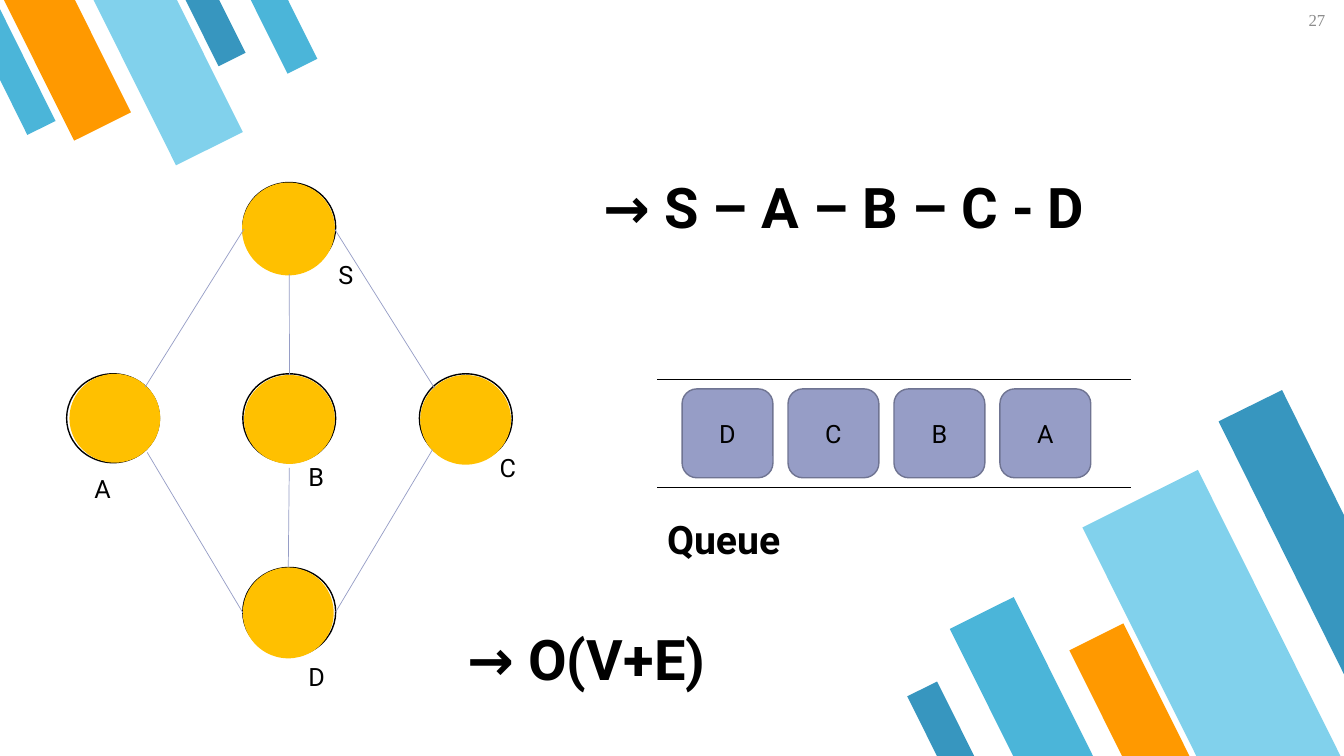
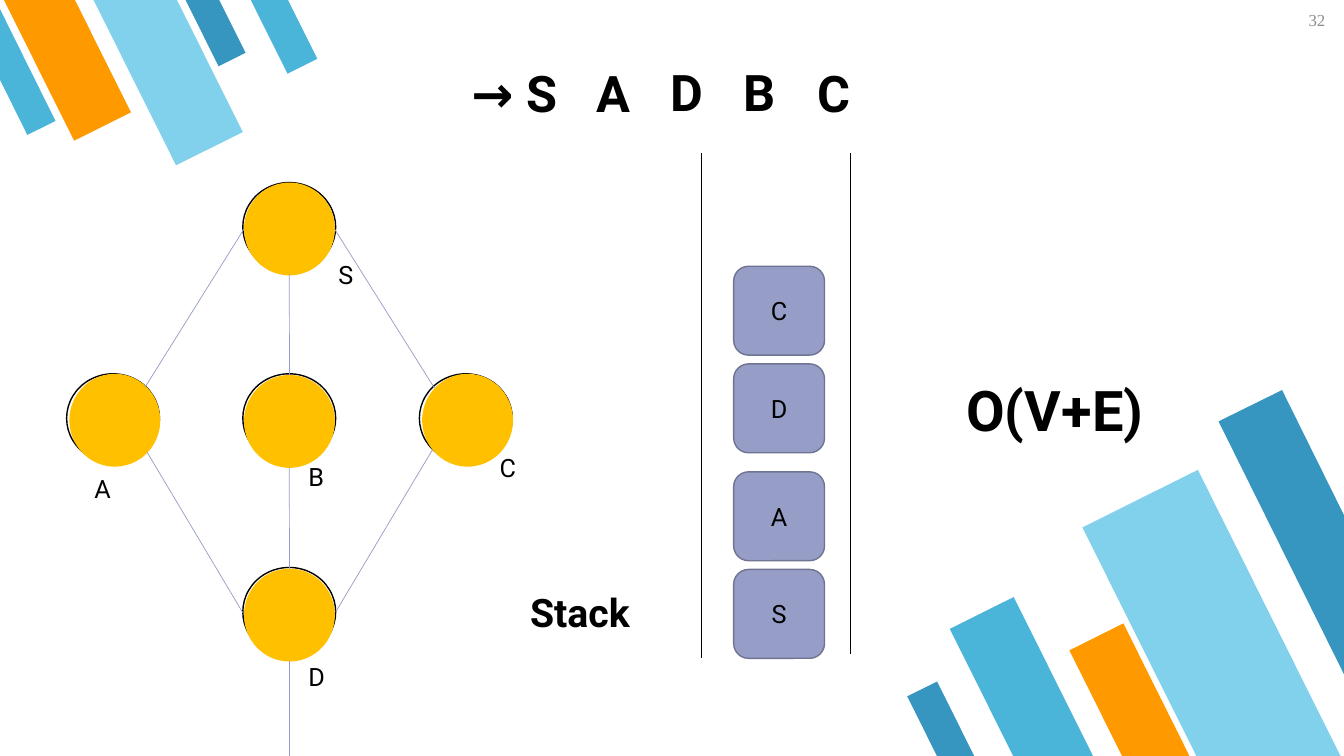
from lxml import etree
from pptx import Presentation
from pptx.dml.color import RGBColor
from pptx.enum.shapes import MSO_CONNECTOR, MSO_SHAPE
from pptx.enum.text import MSO_ANCHOR, MSO_AUTO_SIZE, PP_ALIGN
from pptx.oxml.ns import qn
from pptx.util import Cm, Pt

BAR = MSO_SHAPE.FLOWCHART_MANUAL_INPUT
CIRCLE = MSO_SHAPE.FLOWCHART_CONNECTOR
ROUNDED = MSO_SHAPE.ROUNDED_RECTANGLE
STRAIGHT = MSO_CONNECTOR.STRAIGHT
MIDDLE = MSO_ANCHOR.MIDDLE
GROW = MSO_AUTO_SIZE.SHAPE_TO_FIT_TEXT
LEFT, CENTER, RIGHT = PP_ALIGN.LEFT, PP_ALIGN.CENTER, PP_ALIGN.RIGHT
TOP_SITE = 0

COLORS = {
    "black": "000000",
    "white": "FFFFFF",
    "gray": "8C8C8C",
    "yellow": "FFC000",
    "violet": "969DC6",
    "violet_edge": "6F7492",
    "blue": "4BB5D9",
    "light_blue": "81D1EC",
    "dark_blue": "3796BF",
    "orange": "FF9900",
}

FORMATS = {
    "number": {"name": "Times New Roman", "size": Pt(12)},
    "label": {"name": "Roboto", "size": Pt(18)},
    "caption": {"name": "Roboto", "size": Pt(28), "bold": True},
    "sequence": {"name": "Roboto", "size": Pt(36), "bold": True},
    "headline": {"name": "Roboto", "size": Pt(40), "bold": True},
}

BARS = [
    (24.84, 15.21, 1.8, 4.47, 153.5, "blue"),
    (28.91, 12.14, 3.25, 8.08, 153.5, "light_blue"),
    (27.71, 15.85, 1.52, 3.76, 153.5, "orange"),
    (23.29, 17.25, 0.84, 2.11, 153.5, "dark_blue"),
    (5.05, -0.28, 0.76, 1.88, 333.5, "dark_blue"),
    (0.89, -0.61, 1.6, 4.01, 333.5, "orange"),
    (3.3, -0.66, 1.88, 4.65, 333.5, "light_blue"),
    (6.73, -0.33, 0.84, 2.11, 333.5, "blue"),
]
CUT_BARS = [
    ([(32.31, 9.83), (30.71, 10.62), (33.87, 16.99), (33.87, 12.98)], "dark_blue"),
    ([(0.69, 3.4), (1.4, 3.05), (0, 0.23), (0, 2.01)], "blue"),
]

RINGS = {"S": (6.12, 4.6), "A": (1.68, 9.42), "B": (6.12, 9.42), "C": (10.57, 9.42), "D": (6.12, 14.3)}
LABELS = {"S": (8.28, 6.4), "A": (2.13, 11.79), "B": (7.52, 11.51), "C": (12.34, 11.28), "D": (7.52, 16.54)}
SIDE_EDGES = [
    (8.43, 5.77, 10.95, 9.78),
    (6.15, 5.77, 3.66, 9.75),
    (3.71, 11.4, 6.12, 15.44),
    (10.9, 11.33, 8.46, 15.42),
]
MIDDLE_EDGES = [("B", 6.91, 9.45), ("D", 11.79, 14.3)]
AXIS = 7.29

QUEUE_DISCS = {
    "S": (6.1, 4.6, 2.34, 2.34),
    "A": (1.75, 9.42, 2.29, 2.24),
    "B": (6.15, 9.45, 2.29, 2.24),
    "C": (10.59, 9.45, 2.29, 2.26),
    "D": (6.12, 14.3, 2.29, 2.29),
}
STACK_DISCS = {
    "S": (6.15, 4.6, 2.29, 2.34),
    "A": (1.75, 9.42, 2.29, 2.34),
    "B": (6.15, 9.45, 2.29, 2.34),
    "C": (10.64, 9.42, 2.29, 2.34),
    "D": (6.15, 14.33, 2.29, 2.34),
}


class Deck:
    def __init__(self):
        self.presentation = Presentation()
        self.presentation.slide_width = Cm(33.87)
        self.presentation.slide_height = Cm(19.05)
        self.slide = None

    def color(self, name):
        return RGBColor.from_string(COLORS[name])

    def paint(self, shape, fill, line=None):
        shape.shadow.inherit = False
        shape.fill.solid()
        shape.fill.fore_color.rgb = self.color(fill)
        if line:
            shape.line.color.rgb = self.color(line)
            shape.line.width = Pt(1)
        else:
            shape.line.fill.background()
        return shape

    def shape(self, kind, box, fill, line=None):
        shape = self.slide.shapes.add_shape(kind, *map(Cm, box))
        return self.paint(shape, fill, line)

    def add_words(self, frame, text, style, align=LEFT, color="black"):
        paragraph = frame.paragraphs[0]
        paragraph.alignment = align
        run = paragraph.add_run()
        run.text = text
        for attribute, value in FORMATS[style].items():
            setattr(run.font, attribute, value)
        run.font.color.rgb = self.color(color)

    def text(self, text, left, top, width, height, style):
        frame = self.slide.shapes.add_textbox(*map(Cm, (left, top, width, height))).text_frame
        frame.word_wrap = True
        frame.auto_size = GROW
        self.add_words(frame, text, style)

    def number(self, number):
        frame = self.slide.shapes.add_textbox(Cm(31.7), 0, Cm(2.03), Cm(1.45)).text_frame
        frame.word_wrap = True
        for side in ("left", "top", "right", "bottom"):
            setattr(frame, f"margin_{side}", Cm(0.33))
        self.add_words(frame, str(number), "number", RIGHT, "gray")

    def line(self, x1, y1, x2, y2, color):
        connector = self.slide.shapes.add_connector(STRAIGHT, *map(Cm, (x1, y1, x2, y2)))
        connector.line.color.rgb = self.color(color)
        connector.line.width = Pt(0.5)
        etree.SubElement(connector._element.spPr, qn("a:effectLst"))
        return connector

    def block(self, text, left, top):
        shape = self.shape(ROUNDED, (left, top, 2.29, 2.24), "violet", "violet_edge")
        shape.text_frame.vertical_anchor = MIDDLE
        self.add_words(shape.text_frame, text, "label", CENTER)

    def bands(self):
        for *box, rotation, color in BARS:
            bar = self.shape(BAR, box, color)
            bar.rotation = rotation
            bar._element.spPr.xfrm.set("flipH", "1")
        for points, color in CUT_BARS:
            corners = [(Cm(x), Cm(y)) for x, y in points]
            builder = self.slide.shapes.build_freeform(*corners[0])
            builder.add_line_segments(corners[1:], close=True)
            self.paint(builder.convert_to_shape(), color)

    def new_slide(self, number):
        self.slide = self.presentation.slides.add_slide(self.presentation.slide_layouts[6])
        self.bands()
        self.number(number)

    def graph(self, disc_boxes):
        for ring in RINGS.values():
            self.shape(CIRCLE, (*ring, 2.34, 2.24), "white", "black")
        discs = {name: self.shape(CIRCLE, box, "yellow") for name, box in disc_boxes.items()}
        for name, (left, top) in LABELS.items():
            self.text(name, left, top, 1.4, 1.03, "label")
        for edge in SIDE_EDGES:
            self.line(*edge, "violet")
        for name, start, end in MIDDLE_EDGES:
            self.line(AXIS, start, AXIS, end, "violet").end_connect(discs[name], TOP_SITE)


def queue_slide(deck):
    deck.new_slide(27)
    deck.graph(QUEUE_DISCS)
    for rail in (9.55, 12.29):
        deck.line(16.56, rail, 28.5, rail, "black")
    for index, name in enumerate("DCBA"):
        deck.block(name, 17.19 + 2.67 * index, 9.8)
    deck.text("Queue", 16.56, 12.85, 5.08, 1.45, "caption")
    deck.text("→ S – A – B – C - D", 14.96, 4.22, 15.14, 1.96, "headline")
    deck.text("→ O(V+E)", 11.53, 15.62, 15.14, 1.96, "headline")


def stack_slide(deck):
    deck.new_slide(32)
    deck.graph(STACK_DISCS)
    deck.line(AXIS, 16.66, AXIS, 19.05, "violet")
    for rail, bottom in ((17.68, 16.59), (21.44, 16.48)):
        deck.line(rail, 3.86, rail, bottom, "black")
    for name, top in zip("CDAS", (6.71, 9.17, 11.89, 14.35)):
        deck.block(name, 18.49, top)
    deck.text("Stack", 13.11, 14.71, 5.08, 1.45, "caption")
    deck.text("→ S", 11.63, 1.45, 3.2, 1.8, "sequence")
    for index, (name, top) in enumerate(zip("ADBC", (1.45, 1.42, 1.42, 1.45))):
        deck.text(name, 14.78 + 1.86 * index, top, 1.73, 1.8, "sequence")
    deck.text("O(V+E)", 24.1, 9.35, 5.64, 1.96, "headline")


def main():
    deck = Deck()
    queue_slide(deck)
    stack_slide(deck)
    deck.presentation.save("out.pptx")


if __name__ == "__main__":
    main()
